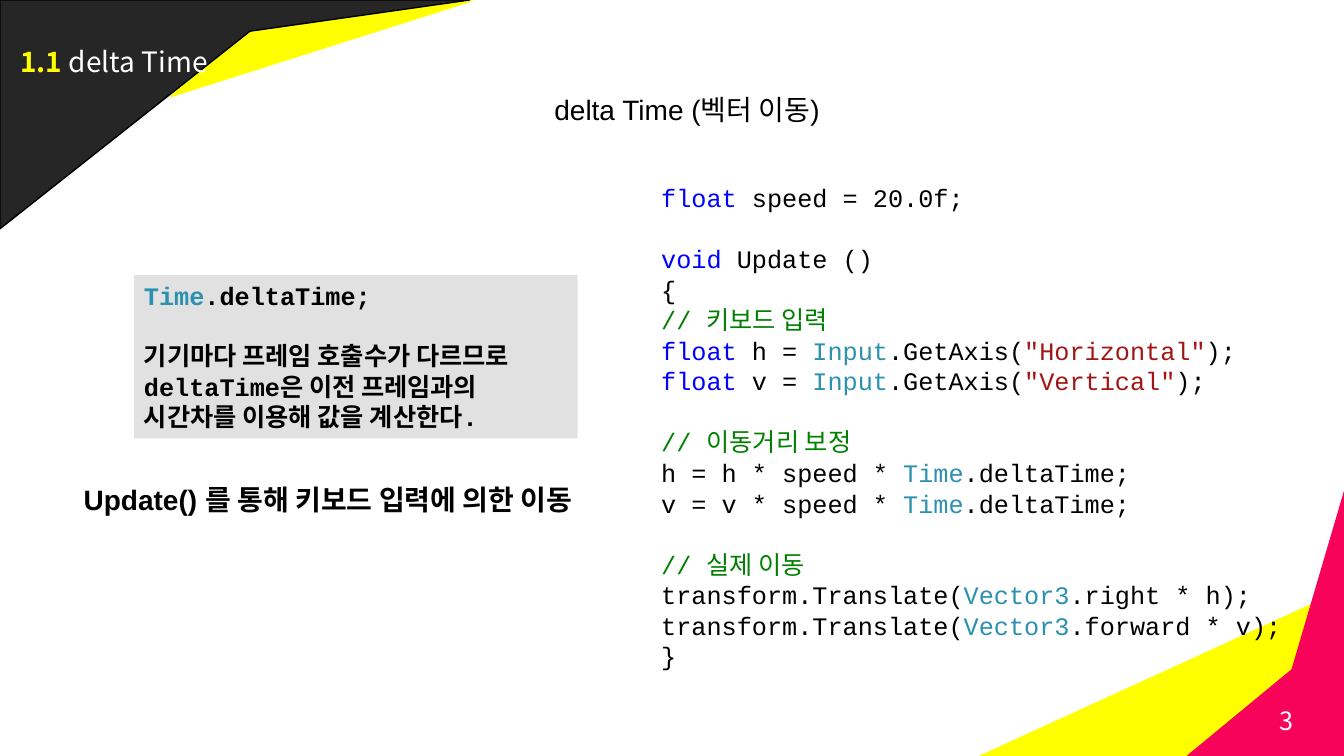
from lxml import etree
from pptx import Presentation
from pptx.dml.color import RGBColor
from pptx.enum.shapes import MSO_SHAPE
from pptx.enum.text import MSO_ANCHOR, MSO_AUTO_SIZE, PP_ALIGN
from pptx.oxml.ns import qn
from pptx.util import Inches, Pt

BLACK = RGBColor(0x00, 0x00, 0x00)
WHITE = RGBColor(0xFF, 0xFF, 0xFF)
CHARCOAL = RGBColor(0x26, 0x26, 0x26)
GREY = RGBColor(0x80, 0x80, 0x80)
YELLOW = RGBColor(0xFF, 0xFF, 0x00)
PINK = RGBColor(0xF7, 0x03, 0x5A)
KEYWORD = RGBColor(0x00, 0x00, 0xFF)
COMMENT = RGBColor(0x00, 0x80, 0x00)
TYPE = RGBColor(0x2B, 0x91, 0xAF)
STRING = RGBColor(0xA3, 0x15, 0x15)

SANS, MONO, KOREAN = "Arial", "Courier New", "Noto Sans CJK KR"


def axis_line(name, axis):
    """Return the runs of a line that reads one input axis."""
    return [("float", KEYWORD), (f" {name} = ", BLACK), ("Input", TYPE),
            (".GetAxis(", BLACK), (f'"{axis}"', STRING), (");", BLACK)]


def scale_line(name):
    """Return the runs of a line that scales one axis by time."""
    return [(f"{name} = {name} * speed * ", BLACK), ("Time", TYPE),
            (".deltaTime;", BLACK)]


def move_line(direction, name):
    """Return the runs of a line that moves along one direction."""
    return [("transform.Translate(", BLACK), ("Vector3", TYPE),
            (f".{direction} * {name});", BLACK)]


CODE_BLOCKS = [
    [[("float", KEYWORD), (" speed = 20.0f;", BLACK)]],
    [[("void", KEYWORD), (" Update ()", BLACK)],
     [("{", BLACK)],
     [("// 키보드 입력", COMMENT)],
     axis_line("h", "Horizontal"),
     axis_line("v", "Vertical")],
    [[("// 이동거리 보정", COMMENT)], scale_line("h"), scale_line("v")],
    [[("// 실제 이동", COMMENT)],
     move_line("right", "h"),
     move_line("forward", "v"),
     [("}", BLACK)]],
]
NOTE_BLOCKS = [
    [[("Time", TYPE), (".deltaTime;", BLACK)]],
    [[("기기마다 프레임 호출수가 다르므로", BLACK)],
     [("deltaTime은 이전 프레임과의", BLACK)],
     [("시간차를 이용해 값을 계산한다.", BLACK)]],
]


def add_run(p, text, color, size, font, bold=False):
    """Append a formatted run, with a Korean face for Hangul."""
    r = p.add_run()
    r.text = text
    r.font.size, r.font.name, r.font.bold = Pt(size), font, bold
    r.font.color.rgb = color
    ea = etree.SubElement(r.font._element, qn("a:ea"))
    ea.set("typeface", KOREAN)


def place(sp, x, y, w, h):
    """Move a shape to a box given in inches."""
    sp.left, sp.top, sp.width, sp.height = (Inches(v) for v in (x, y, w, h))


def add_polygon(s, points, color):
    """Draw a closed outline through points given in inches."""
    pts = [(Inches(x), Inches(y)) for x, y in points]
    builder = s.shapes.build_freeform(*pts[0])
    builder.add_line_segments(pts[1:], close=True)
    sp = builder.convert_to_shape()
    sp.shadow.inherit = False
    sp.fill.solid()
    sp.fill.fore_color.rgb = color
    sp.line.fill.background()
    return sp


def add_top_corner(s, x, y):
    """Draw the dark and yellow corner from its top left point."""
    add_polygon(s, [(x + 1.68, y + 0.97), (x + 4.7, y + 0.01),
                    (x + 2.23, y + 0.12)], YELLOW)
    dark = add_polygon(s, [(x + 4.66, y), (x + 2.48, y + 0.31),
                           (x, y + 2.27), (x, y)], CHARCOAL)
    dark.line.color.rgb = BLACK
    dark.line.width = Pt(1)


def add_bottom_corner(s, x, y):
    """Draw the yellow and pink corner from its bottom left point."""
    add_polygon(s, [(x + 3.63, y - 1.66), (x, y), (x + 3.55, y)], YELLOW)
    add_polygon(s, [(x + 2.1, y), (x + 3.19, y - 0.9), (x + 3.71, y - 2.67),
                    (x + 3.77, y + 0.03)], PINK)


def format_heading(sp, align=PP_ALIGN.LEFT):
    """Prepare a one-line heading and return its paragraph."""
    tf = sp.text_frame
    tf.word_wrap = False
    tf.auto_size = MSO_AUTO_SIZE.SHAPE_TO_FIT_TEXT
    tf.vertical_anchor = MSO_ANCHOR.TOP
    p = tf.paragraphs[0]
    p.alignment, p.line_spacing = align, 1.5
    return p


def add_section_title(s, x, y, w, h):
    """Fill the title placeholder and bring it in front of the corner."""
    sp = s.shapes.title
    place(sp, x, y, w, h)
    p = format_heading(sp)
    add_run(p, "1.1 ", YELLOW, 20, KOREAN, True)
    add_run(p, "delta Time", WHITE, 20, KOREAN)
    s.shapes._spTree.append(sp._element)


def add_heading(s, x, y, w, h, text, align, bold=False):
    """Add a black one-line heading."""
    sp = s.shapes.add_textbox(*(Inches(v) for v in (x, y, w, h)))
    add_run(format_heading(sp, align), text, BLACK, 20, SANS, bold)


def add_page_number(s, x, y, w, h):
    """Add the right-aligned page number."""
    sp = s.shapes.add_textbox(*(Inches(v) for v in (x, y, w, h)))
    tf = sp.text_frame
    tf.word_wrap = True
    tf.vertical_anchor = MSO_ANCHOR.MIDDLE
    p = tf.paragraphs[0]
    p.alignment = PP_ALIGN.RIGHT
    add_run(p, "3", WHITE, 18, KOREAN)


def fill_code(tf, blocks, pitch, bold=False):
    """Write blocks of coloured lines, one line of space between blocks."""
    tf.word_wrap = True
    tf.vertical_anchor = MSO_ANCHOR.TOP
    p = None
    for block in blocks:
        for i, line in enumerate(block):
            first = p is None
            p = tf.paragraphs[0] if first else tf.add_paragraph()
            p.alignment, p.line_spacing = PP_ALIGN.LEFT, Pt(pitch)
            p.space_before = Pt(pitch if i == 0 and not first else 0)
            for text, color in line:
                add_run(p, text, color, 18, MONO, bold)


def add_code(s, x, y, w, h):
    """Add the code listing."""
    sp = s.shapes.add_textbox(*(Inches(v) for v in (x, y, w, h)))
    fill_code(sp.text_frame, CODE_BLOCKS, 21.8)


def add_note(s, x, y, w, h):
    """Add the translucent grey note."""
    sp = s.shapes.add_shape(MSO_SHAPE.RECTANGLE,
                            *(Inches(v) for v in (x, y, w, h)))
    sp.shadow.inherit = False
    sp.line.fill.background()
    sp.fill.solid()
    sp.fill.fore_color.rgb = GREY
    color = sp._element.spPr.find(qn("a:solidFill"))[0]
    etree.SubElement(color, qn("a:alpha")).set("val", "23000")
    fill_code(sp.text_frame, NOTE_BLOCKS, 21.6, True)


def main():
    """Build and save the slide."""
    prs = Presentation()
    prs.slide_width, prs.slide_height = Inches(13.33), Inches(7.5)
    s = prs.slides.add_slide(prs.slide_layouts[5])
    add_top_corner(s, 0, 0)
    add_section_title(s, 0.1, 0.22, 2.1, 0.54)
    add_bottom_corner(s, 9.62, 7.54)
    add_page_number(s, 9.93, 6.95, 3, 0.4)
    add_heading(s, 5.3, 0.7, 3.03, 0.61, "delta Time (벡터 이동)", PP_ALIGN.CENTER)
    add_heading(s, 0.73, 4.57, 5.61, 0.61,
                "Update() 를 통해 키보드 입력에 의한 이동", PP_ALIGN.LEFT, True)
    add_code(s, 6.46, 1.76, 6.67, 4.95)
    add_note(s, 1.33, 2.73, 4.4, 1.62)
    prs.save("out.pptx")


if __name__ == "__main__":
    main()
